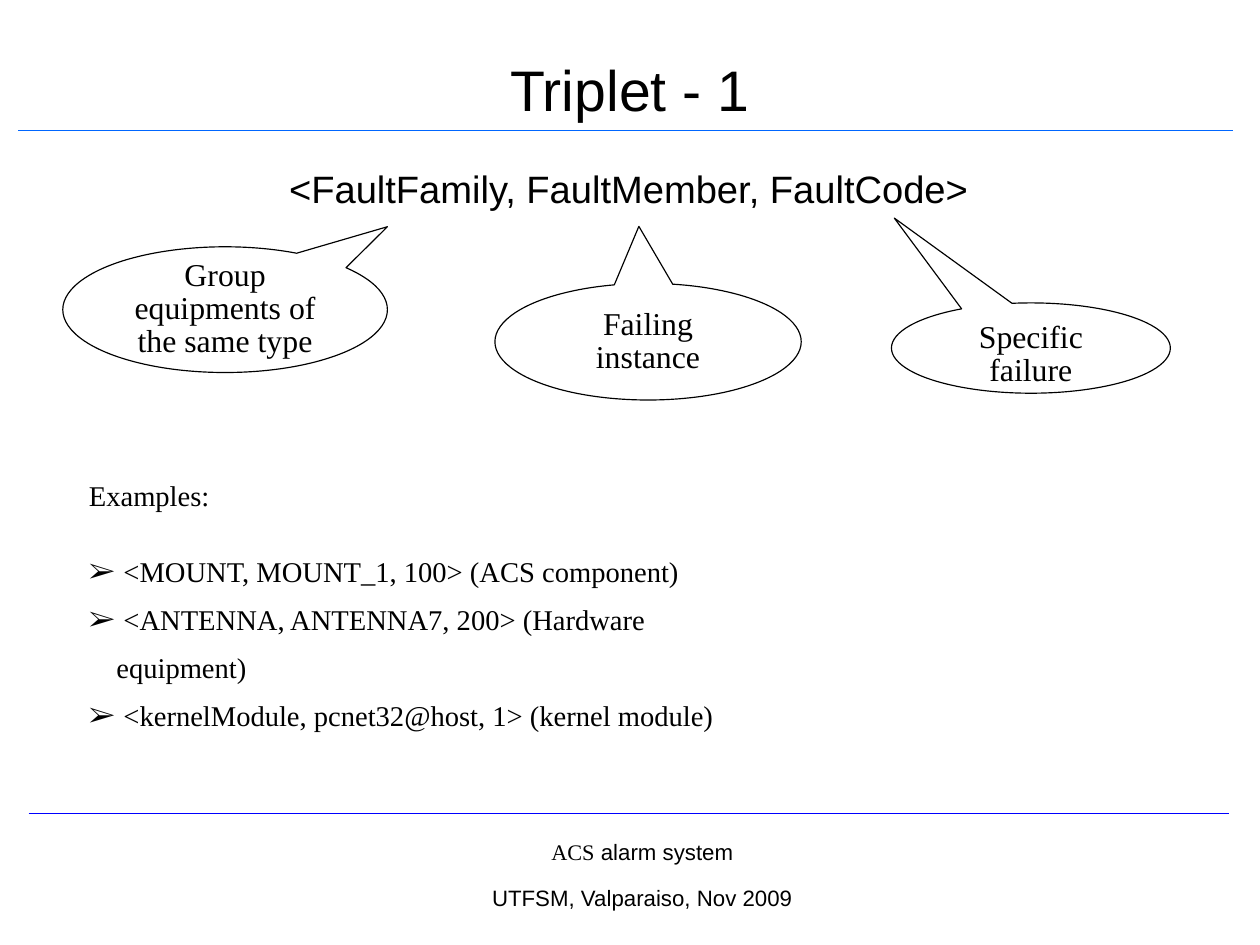
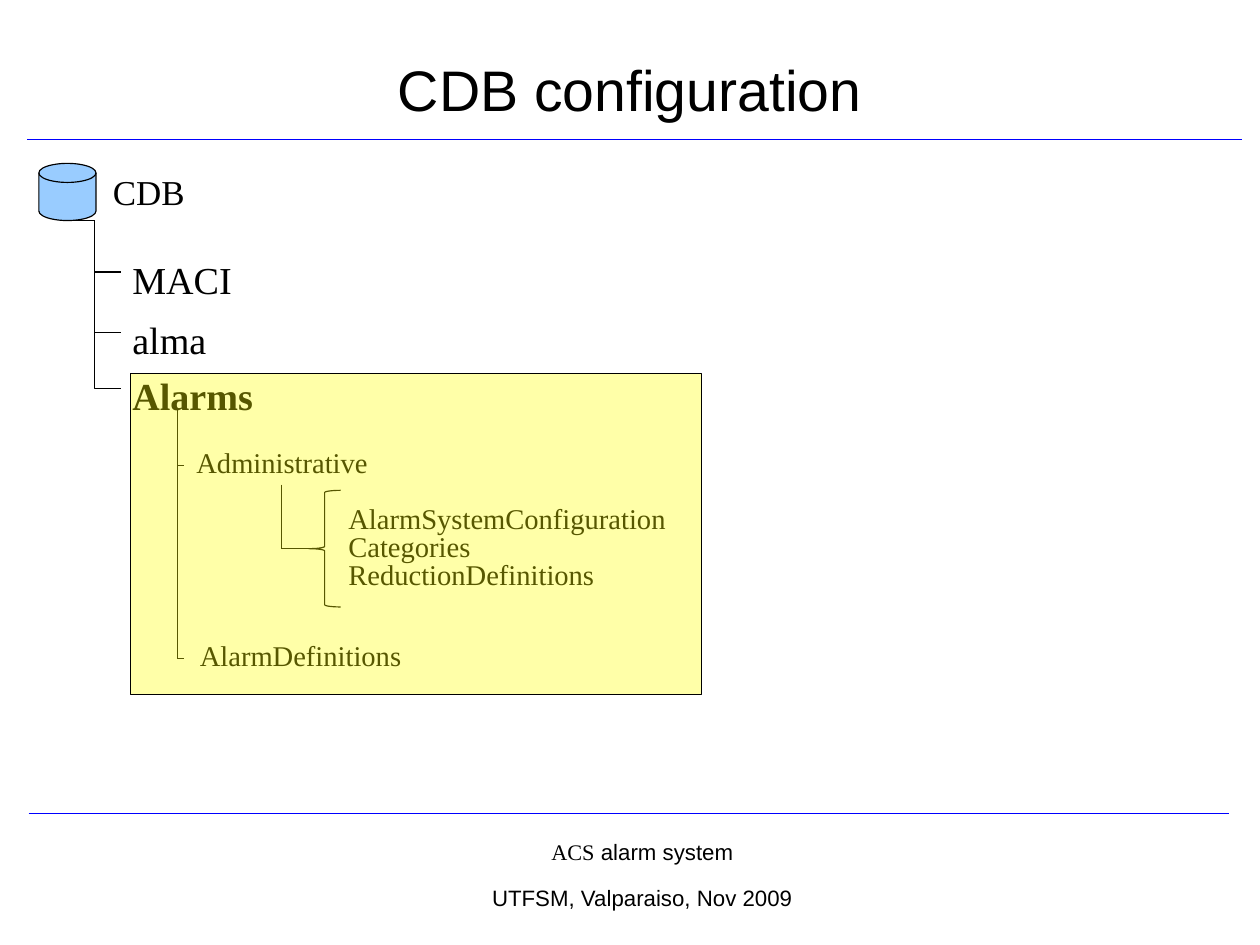
from lxml import etree
from pptx import Presentation
from pptx.dml.color import RGBColor
from pptx.enum.shapes import MSO_CONNECTOR as LINE, MSO_SHAPE as SHAPE
from pptx.enum.text import MSO_ANCHOR as ANCHOR, PP_ALIGN as ALIGN
from pptx.oxml.ns import qn
from pptx.util import Inches, Pt

BLACK = RGBColor(0x00, 0x00, 0x00)
WHITE = RGBColor(0xFF, 0xFF, 0xFF)
BLUE = RGBColor(0x00, 0x00, 0xFF)
SKY = RGBColor(0x00, 0x66, 0xFF)
DISK = RGBColor(0x99, 0xCC, 0xFF)
YELLOW = RGBColor(0xFF, 0xFF, 0x00)
SANS, SERIF = "Arial", "Times New Roman"
THIN = Pt(0.74)
INSETS = (0.1, 0.05)


class Deck:
    """Holds the presentation, its shared style and the current slide."""

    def __init__(self):
        self.prs = Presentation()
        self.prs.slide_width, self.prs.slide_height = Inches(28 / 2.54), Inches(21 / 2.54)

    def slide(self, title, rule_from, rule_to, rule_color):
        self.s = self.prs.slides.add_slide(self.prs.slide_layouts[6])
        self.line((0.25, 7.12), (10.75, 7.12), BLUE)
        tf = self.text((1.75, 7.37, 7.74, 0.8), insets=(0, 0))
        p = self.para(tf, "ACS", 14, align=ALIGN.CENTER, spacing=0.86)
        self.run(p, " alarm system", 14, SANS)
        p = self.para(tf, "UTFSM, Valparaiso, Nov 2009", 14, SANS, ALIGN.CENTER)
        p.space_before = Pt(14)
        tf = self.text((0.55, 0.13, 9.92, 1.38), insets=(0, 0), anchor=ANCHOR.MIDDLE)
        self.para(tf, title, 36, SANS, ALIGN.CENTER)
        self.line(rule_from, rule_to, rule_color)

    def frame(self, tf, insets, anchor):
        tf.word_wrap, tf.vertical_anchor = True, anchor
        tf.margin_left = tf.margin_right = Inches(insets[0])
        tf.margin_top = tf.margin_bottom = Inches(insets[1])
        return tf

    def text(self, box, insets=INSETS, anchor=ANCHOR.TOP):
        sp = self.s.shapes.add_textbox(*map(Inches, box))
        return self.frame(sp.text_frame, insets, anchor)

    def para(self, tf, text, size, font=SERIF, align=ALIGN.LEFT, spacing=0.87, bold=False):
        first = tf.paragraphs[0]
        p = tf.add_paragraph() if first.runs else first
        p.alignment, p.line_spacing = align, spacing
        self.run(p, text, size, font, bold)
        return p

    def run(self, p, text, size, font=SERIF, bold=False):
        r = p.add_run()
        r.text = text
        r.font.size, r.font.name, r.font.bold = Pt(size), font, bold
        r.font.color.rgb = BLACK

    def bullet(self, tf, text, size):
        pPr = self.para(tf, text, size, spacing=1.4)._p.get_or_add_pPr()
        pPr.set("marL", str(Inches(0.24)))
        pPr.set("indent", str(-Inches(0.24)))
        etree.SubElement(pPr, qn("a:buFont")).set("typeface", SERIF)
        etree.SubElement(pPr, qn("a:buChar")).set("char", "➢")

    def label(self, box, lines, size, spacing=1.0, bold=False):
        tf = self.text(box)
        for text in lines:
            self.para(tf, text, size, spacing=spacing, bold=bold)

    def line(self, start, end, color=BLACK, kind=LINE.STRAIGHT):
        c = self.s.shapes.add_connector(kind, *map(Inches, start + end))
        c.line.color.rgb, c.line.width = color, THIN
        etree.SubElement(c._element.spPr, qn("a:effectLst"))

    def shape(self, kind, box, fill=None, adjust=(), alpha=None):
        sp = self.s.shapes.add_shape(kind, *map(Inches, box))
        sp.shadow.inherit = False
        sp.line.color.rgb, sp.line.width = BLACK, THIN
        for i, value in enumerate(adjust):
            sp.adjustments[i] = value
        if fill is None:
            sp.fill.background()
        else:
            sp.fill.solid()
            sp.fill.fore_color.rgb = fill
        if alpha is not None:
            clr = sp._element.spPr.find(qn("a:solidFill")).find(qn("a:srgbClr"))
            etree.SubElement(clr, qn("a:alpha")).set("val", str(alpha * 1000))
        return sp

    def callout(self, box, tip, text, anchor):
        sp = self.shape(SHAPE.OVAL_CALLOUT, box, WHITE, tip)
        tf = self.frame(sp.text_frame, INSETS, anchor)
        self.para(tf, text, 20, align=ALIGN.CENTER)


def triplet(d):
    """Builds the slide on the fault triplet."""
    d.slide("Triplet - 1", (0.16, 1.14), (10.79, 1.14), SKY)
    tf = d.text((0.25, 1.5, 10.5, 5.5), insets=(0, 0))
    d.para(tf, "<FaultFamily, FaultMember, FaultCode>", 24, SANS, ALIGN.CENTER)
    for box, tip, text, anchor in (
        ((0.55, 2.16, 2.84, 1.1), (0.5, -0.66), "Group equipments of the same type", ANCHOR.MIDDLE),
        ((4.33, 2.48, 2.68, 1.02), (-0.03, -0.99), "Failing instance", ANCHOR.MIDDLE),
        ((7.8, 2.65, 2.44, 0.79), (-0.49, -1.44), "Specific failure", ANCHOR.TOP),
    ):
        d.callout(box, tip, text, anchor)
    tf = d.text((0.68, 4.17, 6.1, 1.88))
    d.para(tf, "Examples:", 18).space_after = Pt(18)
    for text in (
        " <MOUNT, MOUNT_1, 100> (ACS component)",
        " <ANTENNA, ANTENNA7, 200> (Hardware equipment)",
        " <kernelModule, pcnet32@host, 1> (kernel module)",
    ):
        d.bullet(tf, text, 18)


def cdb(d):
    """Builds the slide on the configuration tree."""
    d.slide("CDB configuration", (0.24, 1.22), (10.87, 1.22), BLUE)
    d.shape(SHAPE.FLOWCHART_MAGNETIC_DISK, (0.34, 1.43, 0.5, 0.5), DISK)
    d.label((0.89, 1.44, 0.9, 0.44), ["CDB"], 22)
    for name, top, width in (("MACI", 2.19, 1.2), ("alma", 2.72, 1), ("Alarms", 3.21, 1.4)):
        d.label((1.06, top, width, 0.38), [name], 24, bold=name == "Alarms")
        d.line((0.59, 1.93), (1.06, top + 0.19), kind=LINE.ELBOW)
    d.line((1.55, 3.59), (1.55, 5.76))
    for name, left, top, width in (
        ("Administrative", 1.62, 3.9, 1.8),
        ("AlarmDefinitions", 1.65, 5.59, 2.1),
    ):
        d.label((left, top, width, 0.35), [name], 18, 0.81)
        d.line((1.55, top + 0.17), (1.61, top + 0.17))
    files = ["AlarmSystemConfiguration", "Categories", "ReductionDefinitions"]
    d.label((2.95, 4.39, 3.1, 0.83), files, 18, 0.81)
    d.shape(SHAPE.LEFT_BRACE, (2.7, 4.29, 0.28, 1.02), adjust=(0.07, 0.5))
    d.line((2.46, 4.24), (2.46, 4.8))
    d.line((2.46, 4.8), (2.7, 4.8))
    d.shape(SHAPE.RECTANGLE, (1.14, 3.27, 5, 2.81), YELLOW, alpha=34)


deck = Deck()
triplet(deck)
cdb(deck)
deck.prs.save("out.pptx")
